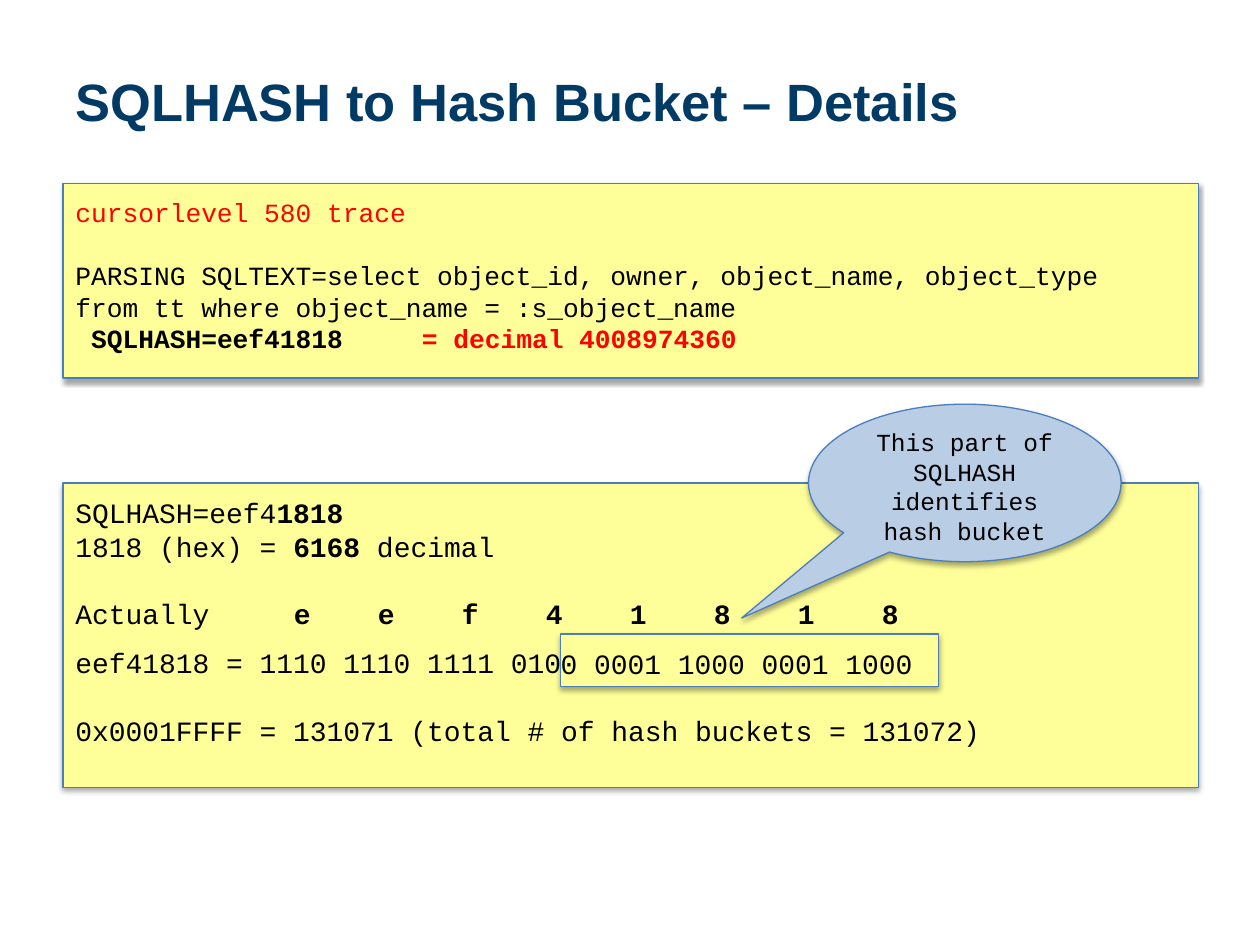
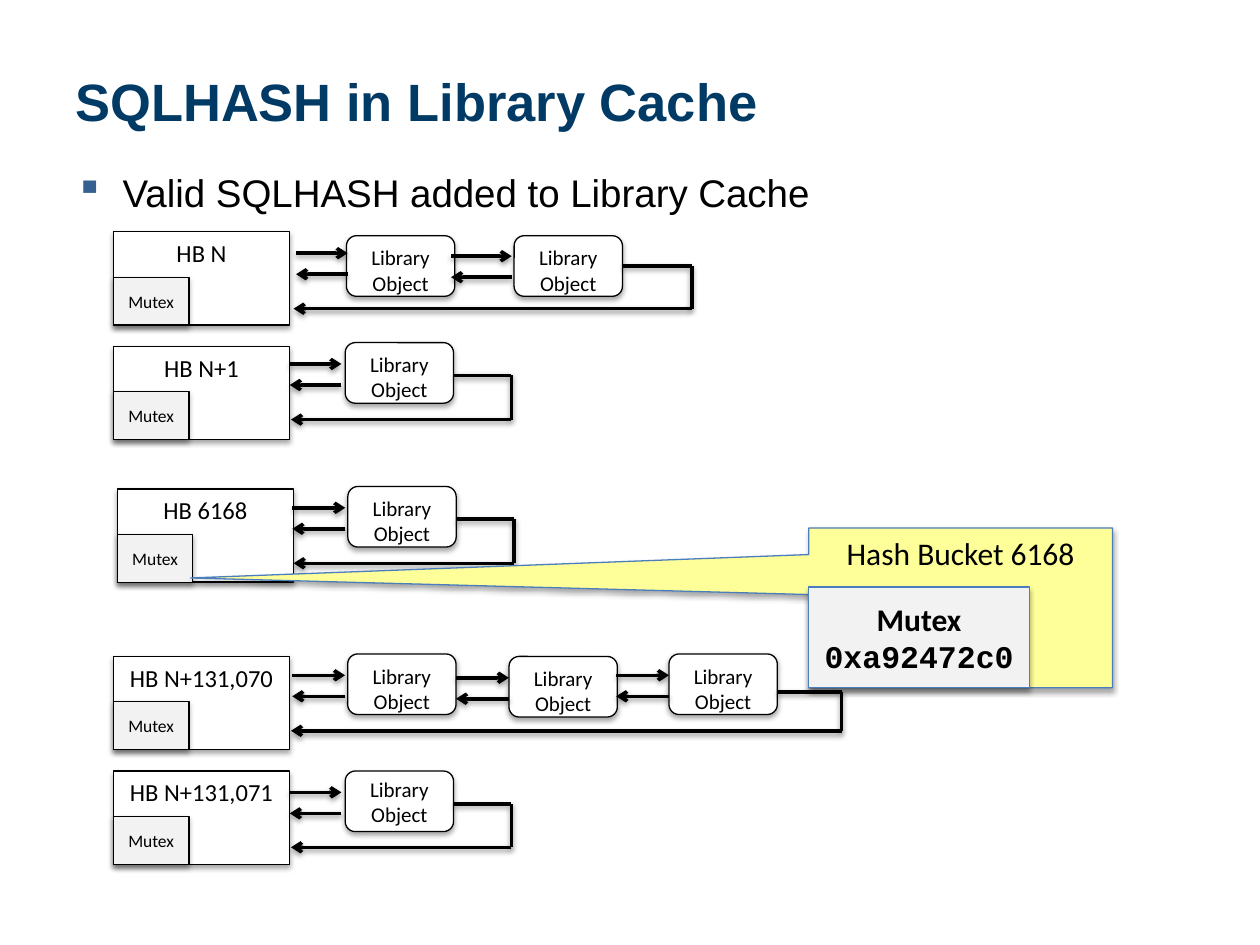
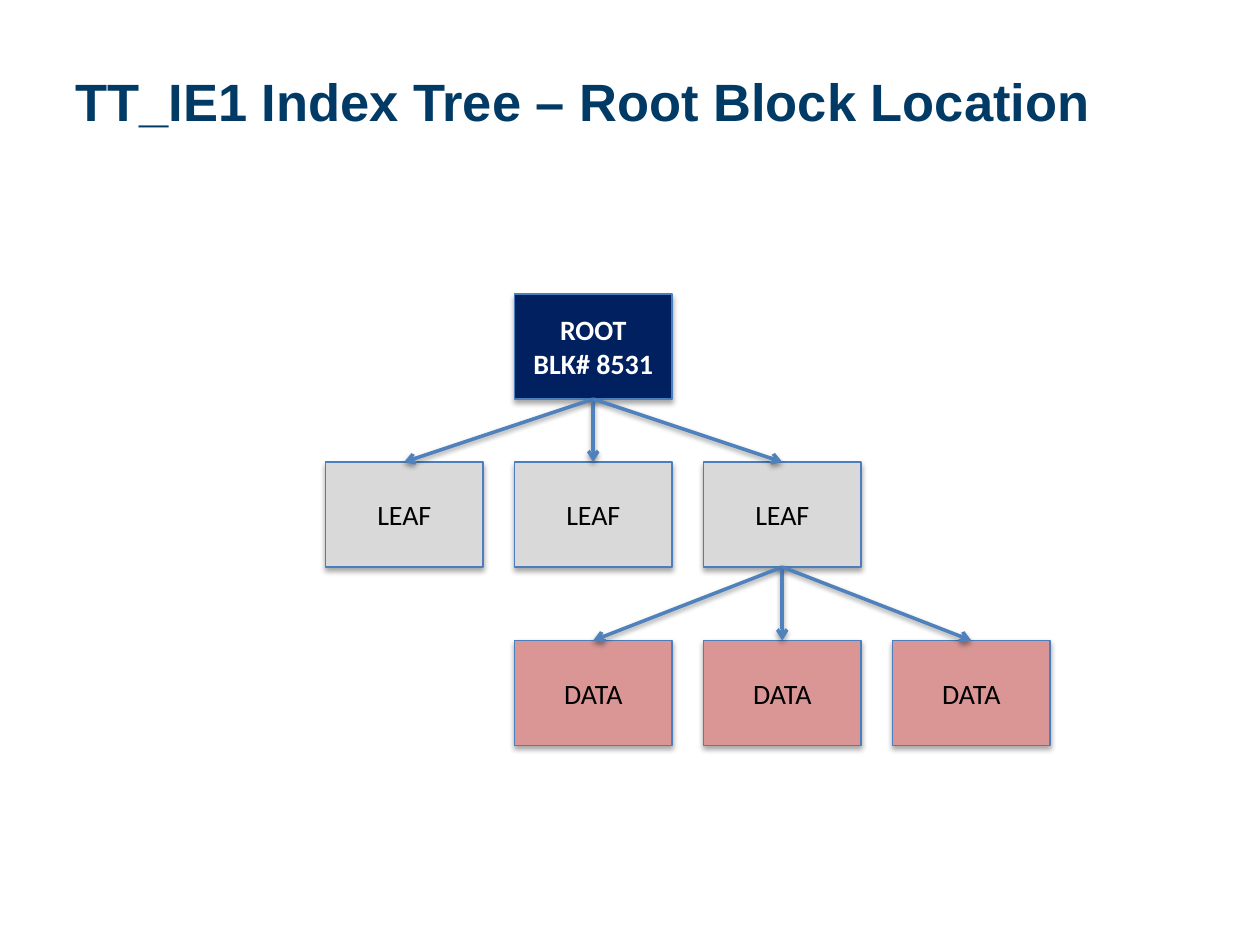
"""Build three slides on SQL hashes, the library cache and an index tree."""
from lxml import etree
from pptx import Presentation
from pptx.dml.color import RGBColor
from pptx.enum.shapes import MSO_CONNECTOR, MSO_SHAPE
from pptx.enum.text import MSO_ANCHOR, PP_ALIGN
from pptx.oxml.ns import qn
from pptx.util import Pt

RECTANGLE = MSO_SHAPE.RECTANGLE
ROUNDED = MSO_SHAPE.ROUNDED_RECTANGLE
BOX_CALLOUT = MSO_SHAPE.RECTANGULAR_CALLOUT
OVAL_CALLOUT = MSO_SHAPE.OVAL_CALLOUT
STRAIGHT = MSO_CONNECTOR.STRAIGHT
TOP, MIDDLE = MSO_ANCHOR.TOP, MSO_ANCHOR.MIDDLE
LEFT, CENTER = PP_ALIGN.LEFT, PP_ALIGN.CENTER
SIDE_TOP, SIDE_BOTTOM, SIDE_RIGHT = 0, 2, 3

BLACK = RGBColor(0x00, 0x00, 0x00)
WHITE = RGBColor(0xFF, 0xFF, 0xFF)
RED = RGBColor(0xFF, 0x00, 0x00)
TITLE_BLUE = RGBColor(0x00, 0x3A, 0x65)
EDGE_BLUE = RGBColor(0x4B, 0x7E, 0xBC)
ARROW_BLUE = RGBColor(0x4F, 0x81, 0xBD)
BULLET_BLUE = RGBColor(0x37, 0x60, 0x92)
BUBBLE_BLUE = RGBColor(0xB9, 0xCD, 0xE5)
ROOT_BLUE = RGBColor(0x00, 0x20, 0x60)
YELLOW = RGBColor(0xFF, 0xFF, 0x99)
MUTEX_GRAY = RGBColor(0xF2, 0xF2, 0xF2)
LEAF_GRAY = RGBColor(0xD9, 0xD9, 0xD9)
DATA_PINK = RGBColor(0xD9, 0x96, 0x94)

SANS, BODY, MONO = "Arial", "Calibri", "Courier New"
CONTENT_LEFT, CONTENT_WIDTH = 36, 648.7
MONO_RATIO = 0.6


def add_child(parent, tag, **attributes):
    """Append a drawing element to a parent."""
    return etree.SubElement(parent, qn(tag), attributes)


def cast_shadow(item, alpha, distance):
    """Give a shape or connector a soft shadow straight below it."""
    effects = add_child(item._element.spPr, "a:effectLst")
    shadow = add_child(effects, "a:outerShdw", blurRad=str(Pt(3.1)),
                       dist=str(Pt(distance)), dir="5400000", rotWithShape="0")
    color = add_child(shadow, "a:srgbClr", val=str(BLACK))
    add_child(color, "a:alpha", val=str(alpha * 1000))


def style_text(para, size, font, color=BLACK, bold=False, align=LEFT):
    """Set the font and alignment of a paragraph."""
    para.alignment = align
    para.font.size, para.font.name = Pt(size), font
    para.font.color.rgb, para.font.bold = color, bold


def set_frame(frame, anchor, insets):
    """Set wrapping, anchor and side and vertical insets of a text frame."""
    frame.word_wrap = True
    frame.vertical_anchor = anchor
    frame.margin_left = frame.margin_right = Pt(insets[0])
    frame.margin_top = frame.margin_bottom = Pt(insets[1])


def add_text(page, text, left, top, width, height, anchor=TOP):
    """Add a plain text box and return its paragraph."""
    frame = page.shapes.add_textbox(Pt(left), Pt(top), Pt(width), Pt(height)).text_frame
    set_frame(frame, anchor, (7.2, 3.6))
    frame.text = text
    return frame.paragraphs[0]


def add_box(page, left, top, width, height, fill, edge=EDGE_BLUE, kind=RECTANGLE,
            anchor=TOP, insets=(7.2, 3.6)):
    """Add a filled, outlined box with a shadow."""
    box = page.shapes.add_shape(kind, Pt(left), Pt(top), Pt(width), Pt(height))
    box.fill.solid()
    box.fill.fore_color.rgb = fill
    box.line.color.rgb = edge
    box.line.width = Pt(0.75)
    cast_shadow(box, 35, 1.8)
    set_frame(box.text_frame, anchor, insets)
    return box


def add_label(box, text, size, font=BODY, color=BLACK, bold=False):
    """Write centred lines into a box."""
    box.text_frame.text = text
    for para in box.text_frame.paragraphs:
        style_text(para, size, font, color, bold, CENTER)


def add_line(page, start, end, color=BLACK, arrow=True):
    """Draw a straight line, with an arrowhead at its end if wanted."""
    line = page.shapes.add_connector(STRAIGHT, *(Pt(value) for value in (*start, *end)))
    line.line.color.rgb = color
    line.line.width = Pt(2)
    if arrow:
        add_child(line.line._get_or_add_ln(), "a:tailEnd", type="arrow")
    cast_shadow(line, 38, 1.6)
    return line


def add_page(deck, title):
    """Add a blank slide with the shared title."""
    page = deck.slides.add_slide(deck.slide_layouts[6])
    para = add_text(page, title, CONTENT_LEFT, 21.6, CONTENT_WIDTH, 71.3, MIDDLE)
    style_text(para, 30, SANS, TITLE_BLUE, True)
    return page


def write_code(box, lines, size):
    """Write lines given as space before, tab columns and (text, bold, color) spans."""
    frame = box.text_frame
    for index, (gap, columns, spans) in enumerate(lines):
        para = frame.add_paragraph() if index else frame.paragraphs[0]
        if gap:
            para.space_before = Pt(gap)
        if columns:
            stops = add_child(para._p.get_or_add_pPr(), "a:tabLst")
            for column in columns:
                add_child(stops, "a:tab", pos=str(Pt(column * size * MONO_RATIO)), algn="l")
        style_text(para, size, MONO)
        for text, bold, color in spans:
            span = para.add_run()
            span.text = text
            if bold:
                span.font.bold = True
            if color != BLACK:
                span.font.color.rgb = color


def add_code_panel(page, top, height, lines, size):
    """Add a yellow panel of code across the content width."""
    panel = add_box(page, CONTENT_LEFT, top, CONTENT_WIDTH, height, YELLOW, insets=(7.2, 7.2))
    write_code(panel, lines, size)


def build_details(deck):
    """Build the slide on how a hash leads to its bucket."""
    page = add_page(deck, "SQLHASH to Hash Bucket – Details")
    trace = [
        (0, (), [("cursorlevel 580 trace", False, RED)]),
        (18, (), [("PARSING SQLTEXT=select object_id, owner, object_name, object_type",
                   False, BLACK)]),
        (0, (), [("from tt where object_name = :s_object_name", False, BLACK)]),
        (0, (22,), [(" ", False, BLACK), ("SQLHASH=eef41818\t", True, BLACK),
                    ("= decimal 4008974360", True, RED)]),
    ]
    digits = "eef41818"
    bits = [
        (0, (), [("SQLHASH=eef4", False, BLACK), ("1818", True, BLACK)]),
        (0, (), [("1818 (hex) = ", False, BLACK), ("6168", True, BLACK),
                 (" decimal", False, BLACK)]),
        (19.2, range(13, 13 + 5 * len(digits), 5),
         [("Actually\t", False, BLACK), ("\t".join(digits), True, BLACK)]),
        (9.2, (), [("eef41818 = 1110 1110 1111 0100 0001 1000 0001 1000", False, BLACK)]),
        (19.2, (), [("0x0001FFFF = 131071 (total # of hash buckets = 131072)",
                     False, BLACK)]),
    ]
    add_code_panel(page, 105, 111, trace, 15)
    add_code_panel(page, 276, 174, bits, 16)
    bucket_bits = add_box(page, 320.4, 362.2, 216, 30.2, YELLOW, insets=(0, 7.2))
    write_code(bucket_bits, [(0, (), [("0 0001 1000 0001 1000", False, BLACK)])], 16)
    bubble = add_box(page, 462, 231, 178.6, 90, BUBBLE_BLUE, kind=OVAL_CALLOUT, insets=(0, 0))
    bubble.adjustments[0], bubble.adjustments[1] = -0.714, 0.858
    add_label(bubble, "This part of SQLHASH identifies hash bucket", 14, MONO)


def add_chain(page, left, top, name, objects, loop, anchor=TOP):
    """Draw a bucket, its linked library objects and the loop back to the bucket."""
    object_width, object_height = 61.9, 34.6
    bucket = add_box(page, left, top, 100.8, 53.3, WHITE, BLACK)
    add_label(bucket, name, 14)
    for object_left, object_top, link_left, link_length, link_top in objects:
        library_object = add_box(page, left + object_left, top + object_top, object_width,
                                 object_height, WHITE, BLACK, ROUNDED, anchor)
        add_label(library_object, "Library Object", 12)
        near, far, link_y = left + link_left, left + link_left + link_length, top + link_top
        add_line(page, (near, link_y), (far, link_y))
        add_line(page, (far, link_y + 12), (near, link_y + 12))
    drop, loop_right, loop_bottom, loop_end = loop
    exit_x = left + object_left + object_width
    exit_y = top + object_top + object_height / 2 + drop
    corner_x, return_y = left + loop_right, top + loop_bottom
    exit_line = add_line(page, (exit_x, exit_y), (corner_x, exit_y), arrow=False)
    if drop == 0:
        exit_line.begin_connect(library_object, SIDE_RIGHT)
    add_line(page, (corner_x, exit_y), (corner_x, return_y), arrow=False)
    add_line(page, (corner_x, return_y), (left + loop_end, return_y))
    mutex = add_box(page, left, top + 25.9, 43.2, 27.4, MUTEX_GRAY, BLACK, anchor=MIDDLE)
    add_label(mutex, "Mutex", 10)


def add_bucket_callout(page, left, top):
    """Draw the enlarged hash bucket with its mutex address."""
    callout = add_box(page, left, top, 173.5, 91.4, YELLOW, kind=BOX_CALLOUT)
    callout.adjustments[0], callout.adjustments[1] = -2.536, -0.187
    add_label(callout, "Hash Bucket 6168", 18)
    mutex = add_box(page, left, top + 33.8, 126, 57.6, MUTEX_GRAY, anchor=MIDDLE)
    add_label(mutex, "Mutex ", 18, bold=True)
    address = mutex.text_frame.paragraphs[0].add_run()
    address.text = "0xa92472c0"
    address.font.name = MONO


def add_bullet(page, text):
    """Add the bulleted line below the title."""
    para = add_text(page, text, CONTENT_LEFT, 92.9, CONTENT_WIDTH, 36)
    properties = para._p.get_or_add_pPr()
    properties.set("marL", str(Pt(27)))
    properties.set("indent", str(Pt(-27)))
    add_child(add_child(properties, "a:buClr"), "a:srgbClr", val=str(BULLET_BLUE))
    add_child(properties, "a:buChar", char="▪")
    style_text(para, 22, SANS)


def build_library_cache(deck):
    """Build the slide on hash buckets in the library cache."""
    page = add_page(deck, "SQLHASH in Library Cache")
    add_bullet(page, "Valid SQLHASH added to Library Cache")
    add_chain(page, 64.8, 132.5, "HB N",
              [(133.2, 2.2, 104.4, 29.5, 12.2), (229, 2.2, 193, 34.6, 13.9)],
              (0, 330.5, 43.9, 103))
    add_chain(page, 64.8, 198, "HB N+1",
              [(132.5, -2.2, 100.8, 29.5, 10)], (1.4, 227.5, 41.8, 101.5))
    add_chain(page, 64.8, 375.1, "HB N+131,070",
              [(133.9, -1.4, 102.2, 30.2, 10.8), (226.1, 0, 195.8, 30.2, 12.2),
               (317.5, -1.4, 287.3, 30.2, 10.8)], (4.3, 416.2, 42.5, 101.5))
    add_chain(page, 64.8, 440.6, "HB N+131,071",
              [(132.5, 0, 100.8, 29.5, 12.2)], (1.4, 227.5, 43.6, 101.5), MIDDLE)
    add_chain(page, 67, 279.4, "HB 6168",
              [(131.8, -1.4, 100.1, 30.2, 10.8)], (1.4, 226.8, 42.5, 100.8))
    add_bucket_callout(page, 462.2, 301.7)


def add_tree(page, left, top):
    """Draw the index tree with its root, leaf and data blocks."""
    column_step = 108

    def add_node(column, offset, text, fill, color=BLACK, bold=False):
        """Add one block of the tree."""
        node = add_box(page, left + column * column_step, top + offset, 90, 60, fill,
                       anchor=MIDDLE, insets=(0, 3.6))
        add_label(node, text, 16, color=color, bold=bold)
        return node

    root = add_node(1, 0, "ROOT\nBLK# 8531", ROOT_BLUE, WHITE, True)
    leaves = [add_node(column, 96, "LEAF", LEAF_GRAY) for column in range(3)]
    blocks = [add_node(column, 198, "DATA", DATA_PINK) for column in range(1, 4)]
    for parent, children in ((root, leaves), (leaves[-1], blocks)):
        for child in children:
            branch = add_line(page, (left, top), (left, top), ARROW_BLUE)
            branch.begin_connect(parent, SIDE_BOTTOM)
            branch.end_connect(child, SIDE_TOP)


def build_index_tree(deck):
    """Build the slide on the root block of the index."""
    page = add_page(deck, "TT_IE1 Index Tree – Root Block Location")
    add_tree(page, 186, 168)


def main():
    """Build and save the deck."""
    deck = Presentation()
    deck.slide_width, deck.slide_height = Pt(720), Pt(540)
    build_details(deck)
    build_library_cache(deck)
    build_index_tree(deck)
    deck.save("out.pptx")


if __name__ == "__main__":
    main()
